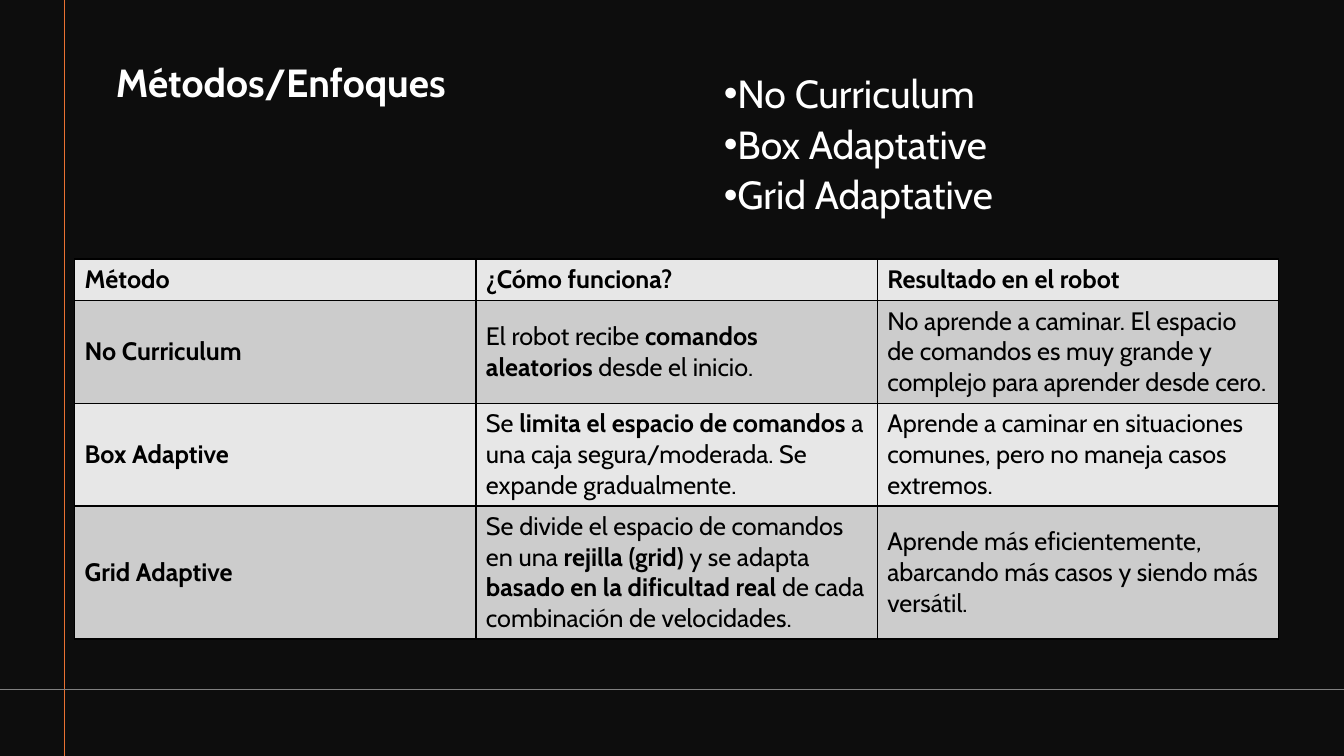
from lxml import etree
from pptx import Presentation
from pptx.dml.color import RGBColor
from pptx.enum.shapes import MSO_CONNECTOR, MSO_SHAPE
from pptx.enum.text import MSO_ANCHOR, MSO_AUTO_SIZE, PP_ALIGN
from pptx.oxml.ns import qn
from pptx.util import Inches, Pt

RECT, LINE = MSO_SHAPE.RECTANGLE, MSO_CONNECTOR.STRAIGHT
TOP, MIDDLE, LEFT = MSO_ANCHOR.TOP, MSO_ANCHOR.MIDDLE, PP_ALIGN.LEFT
DARK = RGBColor(0x0D, 0x0D, 0x0D)
WHITE = RGBColor(0xFF, 0xFF, 0xFF)
BLACK = RGBColor(0, 0, 0)
ORANGE = RGBColor(0xE9, 0x71, 0x32)
GRAY = RGBColor(0x80, 0x80, 0x80)
BANDS = [RGBColor(0xE7, 0xE7, 0xE7), RGBColor(0xCC, 0xCC, 0xCC)]
FONT = "Cabin"

# Content: ** switches bold on and off
TITLE = "Métodos/Enfoques"
ITEMS = ["No Curriculum", "Box Adaptative", "Grid Adaptative"]
ROWS = [
    ("**Método**", "**¿Cómo funciona?**", "**Resultado en el robot**"),
    ("**No Curriculum**",
     "El robot recibe **comandos aleatorios** desde el inicio.",
     "No aprende a caminar. El espacio de comandos es muy grande y complejo "
     "para aprender desde cero."),
    ("**Box Adaptive**",
     "Se **limita el espacio de comandos** a una caja segura/moderada. "
     "Se expande gradualmente.",
     "Aprende a caminar en situaciones comunes, pero no maneja casos extremos."),
    ("**Grid Adaptive**",
     "Se divide el espacio de comandos en una **rejilla (grid)** y se adapta "
     "**basado en la dificultad real** de cada combinación de velocidades.",
     "Aprende más eficientemente, abarcando más casos y siendo más versátil."),
]
HEIGHTS = [0.41, 1.02, 1.02, 1.32]
COL = 3.98
WIDE, HIGH = 13.33, 7.5
RULES = [((0.64, 0), (0.64, HIGH), ORANGE), ((WIDE, 6.84), (0, 6.84), GRAY)]


def style(font, size, color, bold=False):
    font.color.rgb = color
    form = {"name": FONT, "size": Pt(size), "bold": bold}
    for key, value in form.items():
        setattr(font, key, value)


def prepare(frame):
    form = {"word_wrap": True, "auto_size": MSO_AUTO_SIZE.NONE,
            "vertical_anchor": TOP}
    for key, value in form.items():
        setattr(frame, key, value)


def write(para, text, bold=False):
    form = {"alignment": LEFT, "line_spacing": 0.9, "space_before": Pt(0),
            "space_after": Pt(6)}
    for key, value in form.items():
        setattr(para, key, value)
    run = para.add_run()
    run.text = text
    style(run.font, 28, WHITE, bold)


def border(cell):
    props = cell._tc.get_or_add_tcPr()
    for side in ("lnL", "lnR", "lnT", "lnB"):
        edge = etree.SubElement(props, qn("a:" + side), w=str(Pt(1)))
        fill = etree.SubElement(edge, qn("a:solidFill"))
        etree.SubElement(fill, qn("a:srgbClr"), val=str(BLACK))


def main():
    deck = Presentation()
    deck.slide_width, deck.slide_height = Inches(WIDE), Inches(HIGH)
    slide = deck.slides.add_slide(deck.slide_layouts[5])
    shapes = slide.shapes

    # Backdrop, placed behind the title
    back = shapes.add_shape(RECT, 0, 0, Inches(WIDE), Inches(HIGH))
    back.shadow.inherit = False
    back.fill.solid()
    back.fill.fore_color.rgb = DARK
    back.line.fill.background()
    shapes.title._element.addprevious(back._element)

    # Rules
    for start, end, color in RULES:
        rule = shapes.add_connector(LINE, *map(Inches, start + end))
        rule.line.color.rgb = color
        rule.line.width = Pt(1)
        etree.SubElement(rule._element.spPr, qn("a:effectLst"))
        shapes.title._element.addprevious(rule._element)

    # Title
    title = shapes.title
    place = {"left": 1.05, "top": 0.58, "width": 5.02, "height": 0.76}
    for key, value in place.items():
        setattr(title, key, Inches(value))
    prepare(title.text_frame)
    write(title.text_frame.paragraphs[0], TITLE, True)

    # Bullet list
    box = shapes.add_textbox(*map(Inches, (7.08, 0.69, 5.02, 1.89)))
    frame = box.text_frame
    prepare(frame)
    for i, item in enumerate(ITEMS):
        para = frame.add_paragraph() if i else frame.paragraphs[0]
        props = para._p.get_or_add_pPr()
        props.set("marL", "0")
        props.set("indent", str(-Inches(0.25)))
        etree.SubElement(props, qn("a:buFont"), typeface="Arial")
        etree.SubElement(props, qn("a:buChar"), char="•")
        write(para, item)

    # Table of methods
    size = (0.74, 2.57, COL * len(ROWS[0]), sum(HEIGHTS))
    table = shapes.add_table(len(ROWS), len(ROWS[0]), *map(Inches, size)).table
    for col in table.columns:
        col.width = Inches(COL)
    for r, (texts, height) in enumerate(zip(ROWS, HEIGHTS)):
        table.rows[r].height = Inches(height)
        for c, text in enumerate(texts):
            cell = table.cell(r, c)
            border(cell)
            cell.fill.solid()
            cell.fill.fore_color.rgb = BANDS[r % 2]
            cell.vertical_anchor = MIDDLE
            para = cell.text_frame.paragraphs[0]
            for i, part in enumerate(text.split("**")):
                if part:
                    run = para.add_run()
                    run.text = part
                    style(run.font, 18, BLACK, i % 2 == 1)

    deck.save("out.pptx")


if __name__ == "__main__":
    main()
